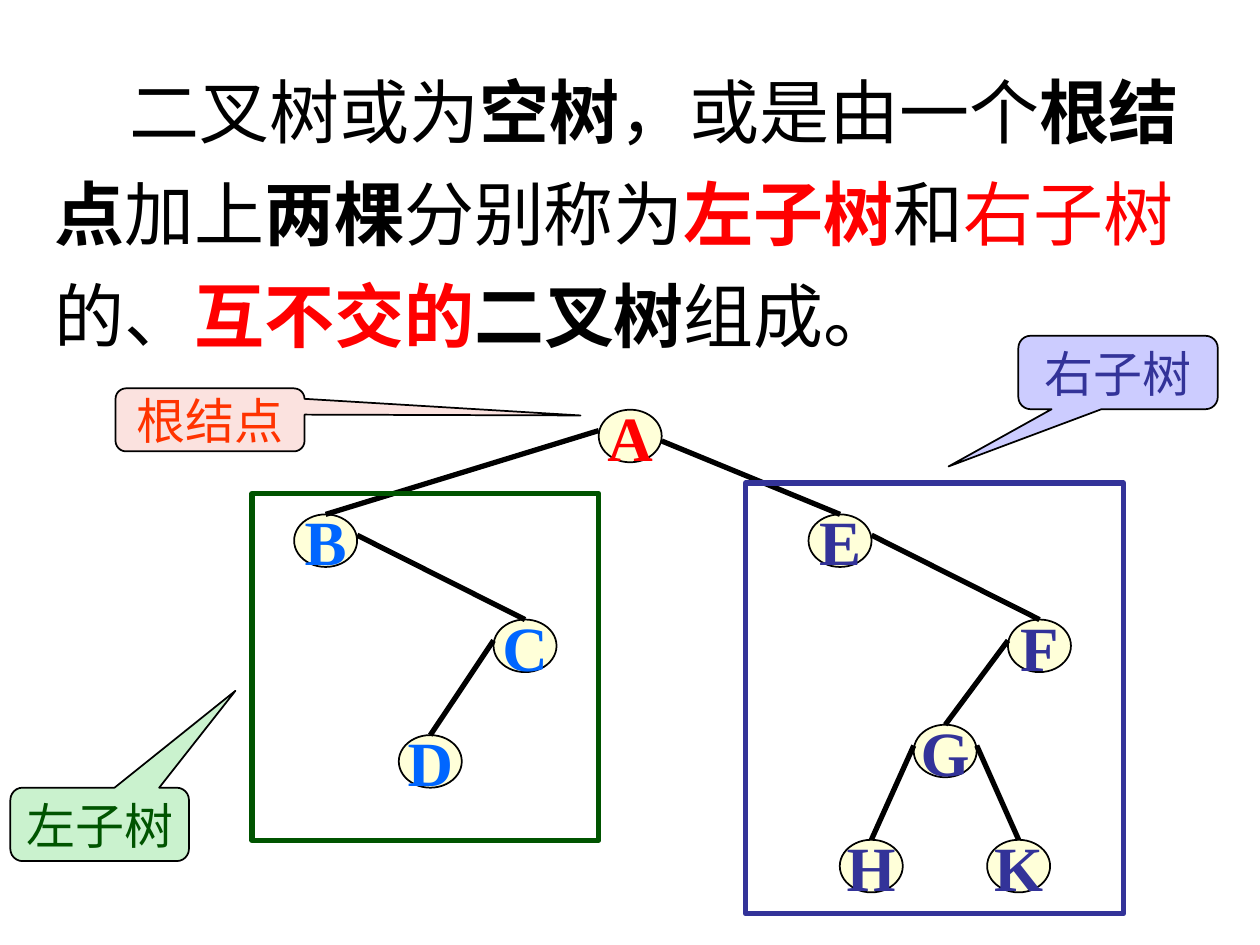
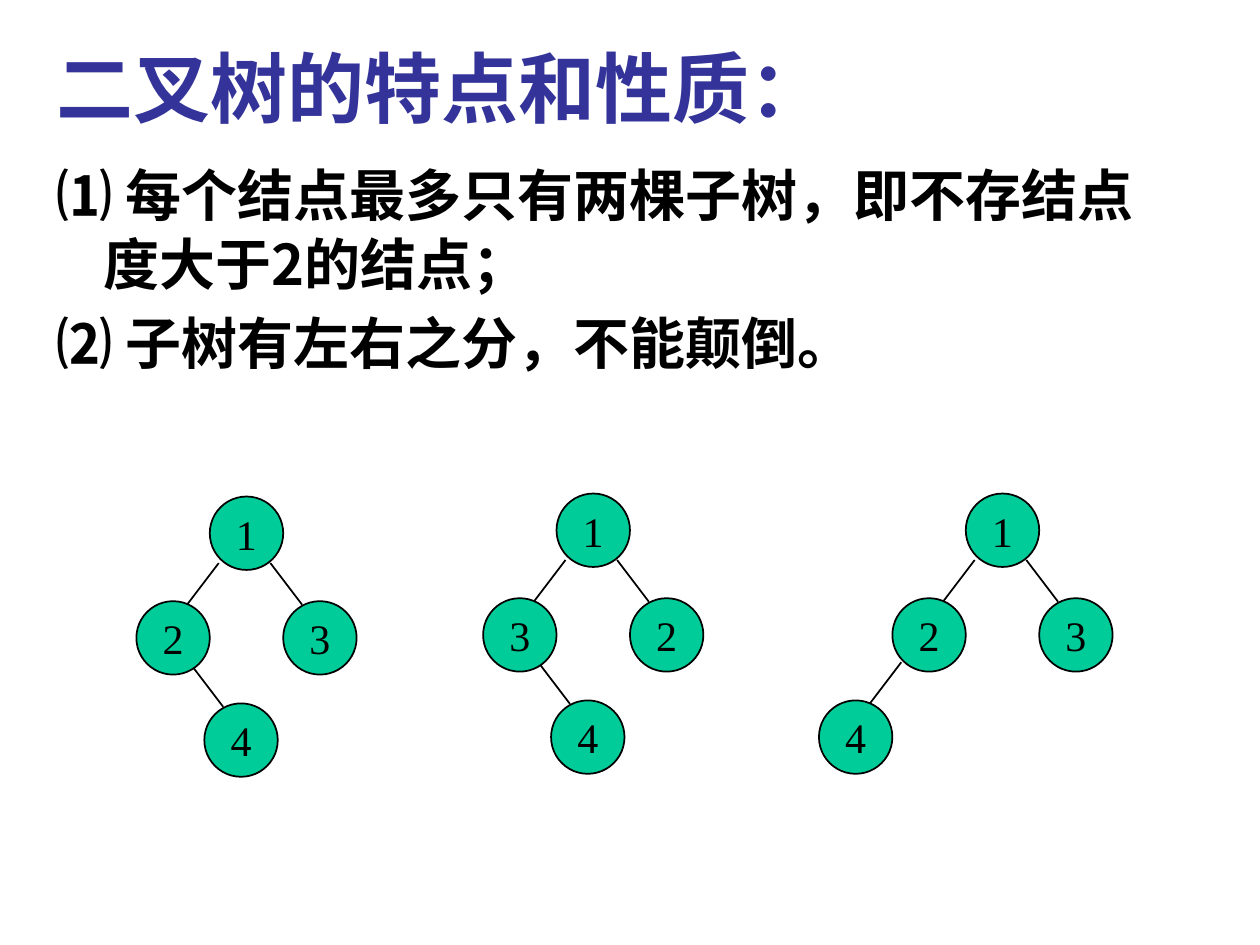
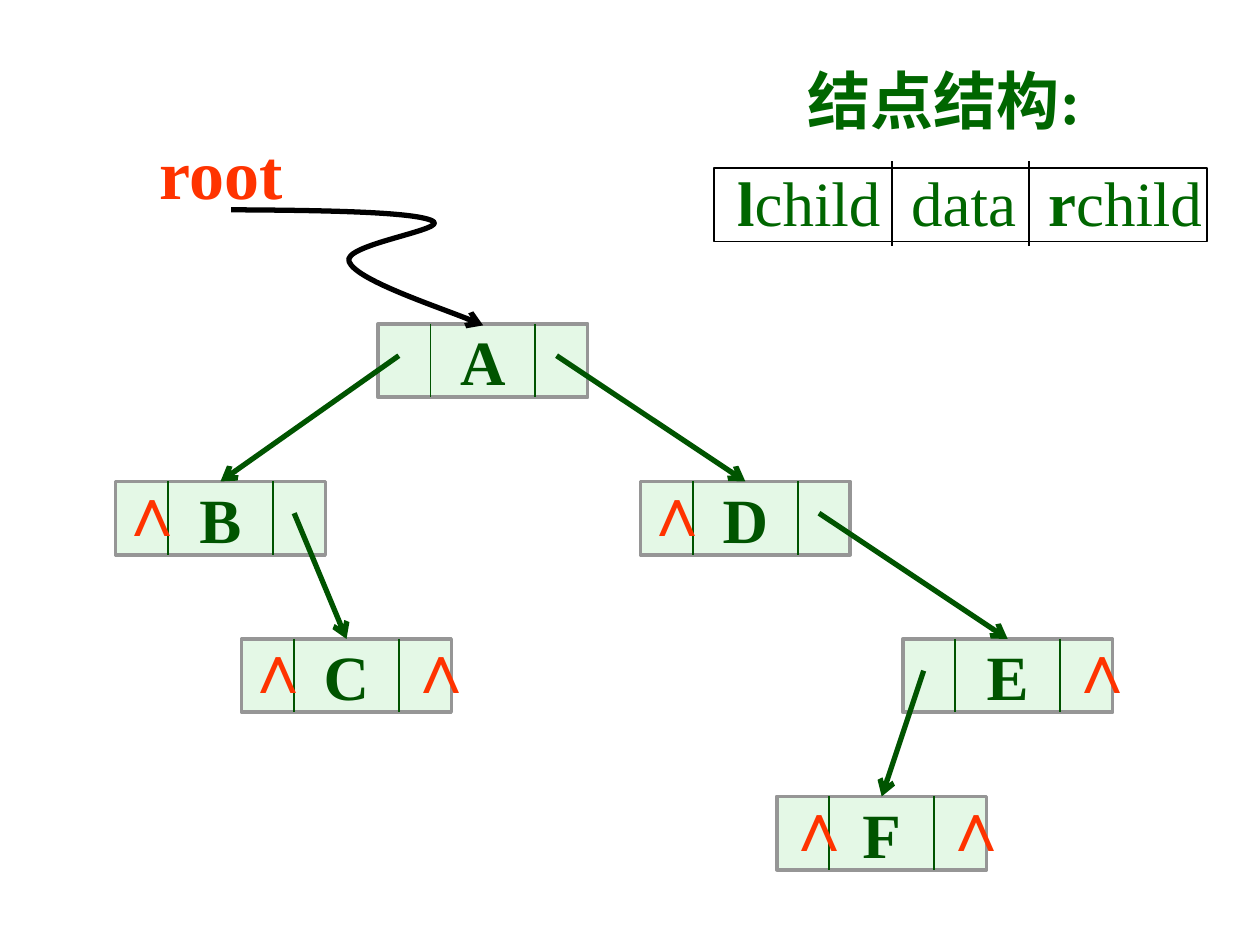
import dataclasses
import typing

import pptx
import pptx.dml.color
import pptx.enum.shapes
import pptx.enum.text
import pptx.oxml
import pptx.oxml.ns
import pptx.util

Cm = pptx.util.Cm
Pt = pptx.util.Pt
qn = pptx.oxml.ns.qn
FORM = pptx.enum.shapes.MSO_SHAPE
ALIGN = pptx.enum.text.PP_ALIGN
ANCHOR = pptx.enum.text.MSO_ANCHOR

# Shared look
INK = {
    "black": "000000", "red": "FF0000", "orange": "FF3300", "blue": "0066FF",
    "navy": "333399", "green": "005400", "leaf": "006600", "gray": "969696",
    "cream": "FFFFD9", "pink": "FBE2DF", "mint": "CAF2CE", "lilac": "CCCCFF",
    "teal": "00CC99",
}
SERIF = "Times New Roman"
SANS = "Noto Sans CJK SC"


class Box(typing.NamedTuple):
    x: float
    y: float
    w: float
    h: float


class Spot(typing.NamedTuple):
    x: float
    y: float


@dataclasses.dataclass(frozen=True)
class Bit:
    text: str
    ink: str = "black"
    bold: bool = False


@dataclasses.dataclass(frozen=True)
class Node:
    tag: str
    x: float
    y: float
    ink: str
    up: str = ""
    drop: float = 0.42


@dataclasses.dataclass(frozen=True)
class Callout:
    tag: str
    box: Box
    tip: Spot
    fill: str
    ink: str


@dataclasses.dataclass(frozen=True)
class Trio:
    """A binary tree of four circles; the last hangs below the left child."""
    root: Spot
    tags: str
    last: Spot


@dataclasses.dataclass(frozen=True)
class Cell:
    """A linked node with two pointer fields; nulls holds mark offsets."""
    tag: str
    x: float
    row: int
    nulls: tuple = ()


# Drawing helpers
def tint(name: str) -> pptx.dml.color.RGBColor:
    return pptx.dml.color.RGBColor.from_string(INK[name])


def write(para, bits: typing.Sequence[Bit], size: float, face: str = SERIF) -> None:
    for bit in bits:
        run = para.add_run()
        run.text = bit.text
        run.font.size = Pt(size)
        run.font.bold = bit.bold
        run.font.color.rgb = tint(bit.ink)
        run.font.name = face
        east = pptx.oxml.parse_xml(f'<a:ea {pptx.oxml.ns.nsdecls("a")} typeface="{SANS}"/>')
        run.font.element.append(east) if hasattr(run.font, "element") else run._r.get_or_add_rPr().append(east)


def place(box: Box) -> list:
    return [Cm(size) for size in box]


def label(slide, box: Box, bits: typing.Sequence[Bit], size: float, wrap: bool = False):
    frame = slide.shapes.add_textbox(*place(box)).text_frame
    frame.word_wrap = wrap
    write(frame.paragraphs[0], bits, size)
    return frame


def block(shapes, form, box: Box, fill: str = "", edge: str = "black",
          width: float = 1, bit: typing.Optional[Bit] = None, size: float = 36):
    shape = shapes.add_shape(form, *place(box))
    shape.shadow.inherit = False
    if fill:
        shape.fill.solid()
        shape.fill.fore_color.rgb = tint(fill)
    else:
        shape.fill.background()
    shape.line.color.rgb = tint(edge)
    shape.line.width = Pt(width)
    if bit:
        frame = shape.text_frame
        frame.word_wrap = False
        frame.vertical_anchor = ANCHOR.MIDDLE
        frame.paragraphs[0].alignment = ALIGN.CENTER
        write(frame.paragraphs[0], [bit], size)
    return shape


def add_head(shape) -> None:
    ln = shape.element.find(".//" + qn("a:ln"))
    ln.append(pptx.oxml.parse_xml(f'<a:tailEnd {pptx.oxml.ns.nsdecls("a")} type="arrow"/>'))


def link(shapes, start: Spot, end: Spot, ink: str = "black", width: float = 1,
         head: bool = False) -> None:
    line = shapes.add_connector(pptx.enum.shapes.MSO_CONNECTOR.STRAIGHT,
                                *place(Box(*start, *end)))
    line.line.color.rgb = tint(ink)
    line.line.width = Pt(width)
    if head:
        add_head(line)
    line.element.spPr.append(pptx.oxml.parse_xml(f'<a:effectLst {pptx.oxml.ns.nsdecls("a")}/>'))


def curve(shapes, spots: typing.Sequence[Spot], width: float) -> None:
    """Draw cubic curves: a start, then three spots for each curve."""
    pens = [(Cm(spot.x), Cm(spot.y)) for spot in spots]
    draft = shapes.build_freeform(*pens[0])
    draft.add_line_segments(pens[1:], close=False)
    shape = draft.convert_to_shape()
    shape.shadow.inherit = False
    shape.fill.background()
    shape.line.color.rgb = tint("black")
    shape.line.width = Pt(width)
    add_head(shape)
    route = shape.element.find(".//" + qn("a:path"))
    steps = route.findall(qn("a:lnTo"))
    for first in range(0, len(steps), 3):
        bend = pptx.oxml.parse_xml(f'<a:cubicBezTo {pptx.oxml.ns.nsdecls("a")}/>')
        for step in steps[first:first + 3]:
            bend.append(step[0])
            route.remove(step)
        route.append(bend)


# Slide 1: what a binary tree is
NODE_W, NODE_H = 1.27, 1.06
MEANING = [
    Bit("二叉树或为"), Bit("空树", bold=True), Bit("，或是由一个"),
    Bit("根结点", bold=True), Bit("加上"), Bit("两棵", bold=True),
    Bit("分别称为"), Bit("左子树", "red", True), Bit("和"), Bit("右子树", "red"),
    Bit("的、"), Bit("互不交的", "red", True), Bit("二叉树", bold=True), Bit("组成。"),
]
NODES = [
    Node("A", 12.07, 8.26, "red"),
    Node("B", 5.93, 10.37, "blue", "A"),
    Node("C", 9.95, 12.49, "blue", "B"),
    Node("D", 8.04, 14.82, "blue", "C"),
    Node("E", 16.3, 10.37, "navy", "A", 0.63),
    Node("F", 20.32, 12.49, "navy", "E"),
    Node("G", 18.42, 14.61, "navy", "F"),
    Node("H", 16.93, 16.93, "navy", "G"),
    Node("K", 19.9, 16.93, "navy", "G"),
]
FRAMES = [(Box(5.08, 9.95, 6.99, 6.99), "green"), (Box(15.03, 9.74, 7.62, 8.68), "navy")]
CALLOUTS = [
    Callout("根结点", Box(2.33, 7.83, 3.81, 1.27), Spot(1.96, -0.07), "pink", "orange"),
    Callout("左子树", Box(0.21, 15.88, 3.6, 1.48), Spot(0.76, -1.82), "mint", "green"),
    Callout("右子树", Box(20.53, 6.77, 4.02, 1.48), Spot(-0.85, 1.28), "lilac", "navy"),
]


def draw_meaning(deck) -> None:
    slide = deck.slides.add_slide(deck.slide_layouts[6])
    frame = label(slide, Box(0.85, 0.42, 23.92, 6.77), MEANING, 40, wrap=True)
    frame.margin_top = Cm(0.59)
    para = frame.paragraphs[0]
    para.line_spacing = Pt(58.3)
    para._p.get_or_add_pPr().set("indent", str(Cm(1.52)))

    for node in NODES:
        block(slide.shapes, FORM.OVAL, Box(node.x, node.y, NODE_W, NODE_H), "cream",
              bit=Bit(node.tag, node.ink, True))
    tree = {node.tag: node for node in NODES}
    for node in NODES[1:]:
        top = tree[node.up]
        side = NODE_W if node.x > top.x else 0
        link(slide.shapes, Spot(top.x + side, top.y + node.drop),
             Spot(node.x + NODE_W / 2, node.y), width=3)
    for box, ink in FRAMES:
        block(slide.shapes, FORM.RECTANGLE, box, edge=ink, width=3)
    for note in CALLOUTS:
        shape = block(slide.shapes, FORM.ROUNDED_RECTANGULAR_CALLOUT, note.box, note.fill,
                      bit=Bit(note.tag, note.ink), size=28)
        shape.adjustments[0], shape.adjustments[1] = note.tip


# Slide 2: traits of binary trees
DISC = 1.48
TRAITS = ["⑴ 每个结点最多只有两棵子树，即不存结点度大于2的结点；",
          "⑵ 子树有左右之分，不能颠倒。"]
TRIOS = [
    Trio(Spot(4.23, 10.01), "1234", Spot(-0.11, 4.17)),
    Trio(Spot(11.22, 9.95), "1324", Spot(-0.11, 4.17)),
    Trio(Spot(19.47, 9.95), "1234", Spot(-2.96, 4.17)),
]


def draw_trio(slide, trio: Trio) -> None:
    shapes = slide.shapes.add_group_shape().shapes
    steps = [Spot(0, 0), Spot(-DISC, 2.11), Spot(DISC, 2.11), trio.last]
    spots = [Spot(trio.root.x + step.x, trio.root.y + step.y) for step in steps]
    for top, low in ((0, 1), (0, 2), (1, 3)):
        right = spots[low].x > spots[top].x
        end = Spot(spots[low].x + (0.38 if right else 1.02), spots[low].y + 0.07)
        link(shapes, Spot(end.x + (-0.64 if right else 0.64), end.y - 0.84), end)
    for tag, spot in zip(trio.tags, spots):
        block(shapes, FORM.OVAL, Box(*spot, DISC, DISC), "teal", bit=Bit(tag), size=24)


def draw_traits(deck) -> None:
    slide = deck.slides.add_slide(deck.slide_layouts[5])
    title = slide.shapes.title
    title.left, title.top, title.width, title.height = place(Box(0.89, 0.69, 22.86, 2.3))
    frame = title.text_frame
    frame.auto_size = pptx.enum.text.MSO_AUTO_SIZE.NONE
    frame.vertical_anchor = ANCHOR.TOP
    frame.paragraphs[0].alignment = ALIGN.LEFT
    write(frame.paragraphs[0], [Bit("二叉树的特点和性质：", "navy", True)], 44)

    frame = slide.shapes.add_textbox(*place(Box(0.89, 3.08, 22.86, 4.85))).text_frame
    frame.word_wrap = True
    for rank, text in enumerate(TRAITS):
        para = frame.add_paragraph() if rank else frame.paragraphs[0]
        hang = para._p.get_or_add_pPr()
        hang.set("marL", str(Cm(0.95)))
        hang.set("indent", str(-Cm(0.95)))
        para.line_spacing = Pt(39.4)
        if rank:
            para.space_before = Pt(5.5)
        write(para, [Bit(text, bold=True)], 32, SANS)
    for trio in TRIOS:
        draw_trio(slide, trio)


# Slide 3: linked storage
CELL_W, CELL_H = 4.23, 1.48
LEFT, RIGHT = -0.21, 3.07
CELLS = [
    Cell("A", 7.62, 0),
    Cell("D", 12.91, 1, (LEFT,)),
    Cell("E", 18.2, 2, (RIGHT,)),
    Cell("B", 2.33, 1, (LEFT,)),
    Cell("C", 4.87, 2, (LEFT, RIGHT)),
    Cell("F", 15.66, 3, (-0.1, RIGHT)),
]
LINKS = ["AB", "AD", "BC", "DE", "EF"]
ROUTE = [
    Spot(4.66, 4.23),
    Spot(6.5, 4.24), Spot(8.33, 4.27), Spot(8.71, 4.45),
    Spot(9.12, 4.62), Spot(6.86, 4.93), Spot(7.04, 5.28),
    Spot(7.19, 5.64), Spot(9.3, 6.35), Spot(9.74, 6.56),
]
FIELDS = [Bit("l", "leaf", True), Bit("child\tdata\t", "leaf"),
          Bit("r", "leaf", True), Bit("child", "leaf")]


def row_top(cell: Cell) -> float:
    return 6.53 + 3.175 * cell.row


def draw_cell(slide, cell: Cell) -> None:
    top = row_top(cell)
    shape = block(slide.shapes, FORM.RECTANGLE, Box(cell.x, top, CELL_W, CELL_H), "mint",
                  "gray", 2, Bit(cell.tag, "green", True))
    shade = shape.element.find(".//" + qn("a:solidFill"))[0]
    shade.append(pptx.oxml.parse_xml(f'<a:alpha {pptx.oxml.ns.nsdecls("a")} val="50000"/>'))
    for part in (1, 3):
        x = cell.x + CELL_W * part / 4
        link(slide.shapes, Spot(x, top), Spot(x, top + CELL_H), "green")


def draw_links(deck) -> None:
    slide = deck.slides.add_slide(deck.slide_layouts[6])
    for cell in CELLS:
        draw_cell(slide, cell)
    for cell in CELLS:
        for shift in cell.nulls:
            label(slide, Box(cell.x + shift, row_top(cell) - 0.43, 1.37, 1.96),
                  [Bit("∧", "orange", True)], 40, wrap=True)
    chain = {cell.tag: cell for cell in CELLS}
    for pair in LINKS:
        top, low = (chain[tag] for tag in pair)
        side = 3.6 if low.x > top.x else 0.42
        link(slide.shapes, Spot(top.x + side, row_top(top) + 0.64),
             Spot(low.x + CELL_W / 2, row_top(low)), "green", 3, head=True)
    curve(slide.shapes, ROUTE, 3)
    label(slide, Box(2.97, 2.49, 3.02, 1.96), [Bit("root", "orange", True)], 40)

    # Layout of one node
    frame = label(slide, Box(14.61, 3.18, 10.2, 1.78), FIELDS, 36, wrap=True)
    stops = "".join(f'<a:tab pos="{Cm(stop)}" algn="l"/>' for stop in (3.51, 6.27))
    frame.paragraphs[0]._p.get_or_add_pPr().append(pptx.oxml.parse_xml(
        f'<a:tabLst {pptx.oxml.ns.nsdecls("a")}>{stops}</a:tabLst>'))
    block(slide.shapes, FORM.RECTANGLE, Box(14.39, 3.39, 9.95, CELL_H))
    for x in (17.99, 20.74):
        link(slide.shapes, Spot(x, 3.25), Spot(x, 4.95))
    label(slide, Box(16.03, 1.12, 6.05, 1.78), [Bit("结点结构:", "leaf", True)], 36)


def main() -> None:
    deck = pptx.Presentation()
    deck.slide_width, deck.slide_height = Cm(25.4), Cm(19.05)
    draw_meaning(deck)
    draw_traits(deck)
    draw_links(deck)
    deck.save("out.pptx")


if __name__ == "__main__":
    main()
